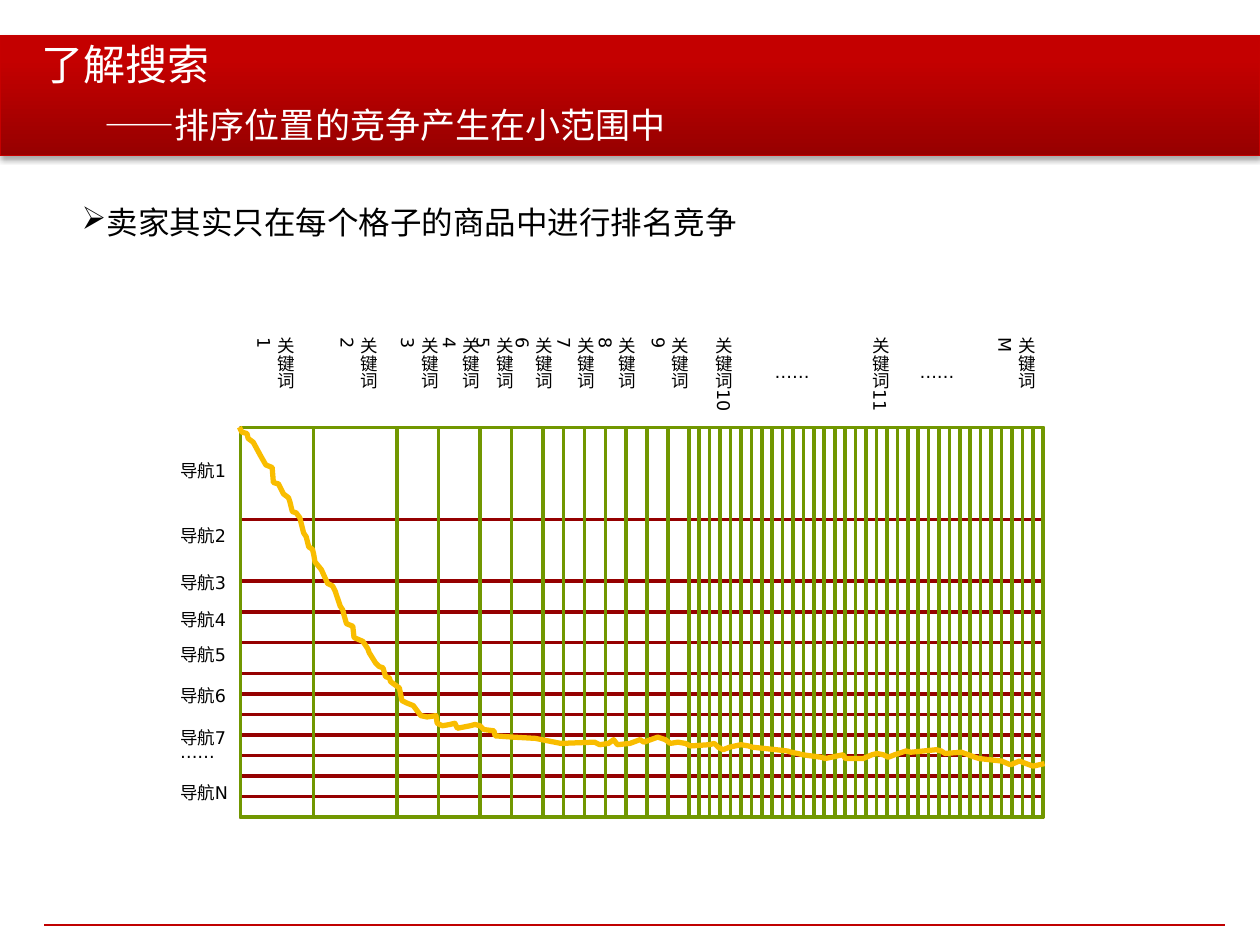
from itertools import accumulate

from pptx import Presentation
from pptx.dml.color import RGBColor
from pptx.enum.shapes import MSO_CONNECTOR as Connector, MSO_SHAPE as Preset
from pptx.enum.text import MSO_ANCHOR as Anchor, MSO_AUTO_SIZE as AutoSize, PP_ALIGN as Align
from pptx.oxml import parse_xml
from pptx.oxml.ns import nsdecls, qn
from pptx.util import Pt

LATIN, ASIAN = "DejaVu Sans", "Noto Sans CJK SC"
BLACK, WHITE = "000000", "FFFFFF"
RED, GREEN, GOLD = "950000", "719700", "F9BD00"


def color(value):
    return RGBColor.from_string(value)


class SlideKit:
    """Holds the text style and the slide being filled."""

    def __init__(self, page):
        self.page = page
        self.shapes = page.shapes
        self.style = {"size": Pt(10), "name": LATIN}

    def span(self, para, text, ink=BLACK, **changes):
        run = para.add_run()
        run.text = text
        for key, value in {**self.style, **changes}.items():
            setattr(run.font, key, value)
        run.font.color.rgb = color(ink)
        latin = run.font._element.find(qn("a:latin"))
        latin.addnext(parse_xml(f'<a:ea {nsdecls("a")} typeface="{ASIAN}"/>'))

    def text(self, left, top, width, height, text, wrap=True, vertical=False, bullet=None, **changes):
        box = self.shapes.add_textbox(Pt(left), Pt(top), Pt(width), Pt(height))
        frame = box.text_frame
        for key, value in {"word_wrap": wrap, "auto_size": AutoSize.SHAPE_TO_FIT_TEXT}.items():
            setattr(frame, key, value)
        if vertical:
            frame._element.bodyPr.set("vert", "eaVert")
        para = frame.paragraphs[0]
        if bullet:
            para._element.get_or_add_pPr().append(
                parse_xml(f'<a:buChar {nsdecls("a")} char="{bullet}"/>'))
        self.span(para, text, **changes)

    def outline(self, shape, ink, weight):
        shape.shadow.inherit = False
        shape.line.color.rgb = color(ink)
        shape.line.width = Pt(weight)

    def rect(self, left, top, width, height, ink, weight=2):
        shape = self.shapes.add_shape(Preset.RECTANGLE, Pt(left), Pt(top), Pt(width), Pt(height))
        shape.fill.background()
        self.outline(shape, ink, weight)
        return shape

    def band(self, left, top, width, height):
        shape = self.rect(left, top, width, height, "C60000", 0.75)
        shape.fill.gradient()
        shape.fill.gradient_angle = 90
        stops = zip(shape.fill.gradient_stops, (0, 0.8), ("970000", "C40000"))
        for stop, position, ink in stops:
            stop.position = position
            stop.color.rgb = color(ink)
        effects = shape._element.spPr.find(qn("a:effectLst"))
        effects.append(parse_xml(
            f'<a:outerShdw {nsdecls("a")} blurRad="{Pt(3.1)}" dist="{Pt(1.8)}" dir="5400000" '
            'rotWithShape="0"><a:srgbClr val="000000"><a:alpha val="35000"/></a:srgbClr>'
            '</a:outerShdw>'))

    def rule(self, x1, y1, x2, y2, ink, weight):
        line = self.shapes.add_connector(Connector.STRAIGHT, Pt(x1), Pt(y1), Pt(x2), Pt(y2))
        line.line.color.rgb = color(ink)
        line.line.width = Pt(weight)
        line._element.spPr.append(parse_xml(f'<a:effectLst {nsdecls("a")}/>'))

    def title(self, left, top, width, height, heading, subheading):
        title = self.shapes.title
        bounds = {"left": left, "top": top, "width": width, "height": height}
        for key, value in bounds.items():
            setattr(title, key, Pt(value))
        title._element.getparent().append(title._element)  # in front of the band
        frame = title.text_frame
        settings = {"vertical_anchor": Anchor.MIDDLE, "word_wrap": True, "auto_size": AutoSize.NONE}
        for key, value in settings.items():
            setattr(frame, key, value)
        para = frame.paragraphs[0]
        para.alignment = Align.LEFT
        self.span(para, heading, WHITE, size=Pt(24), name=ASIAN)
        para.add_line_break()
        self.span(para, "\t", WHITE, size=Pt(28))
        self.span(para, subheading, WHITE, size=Pt(20), name=ASIAN)

    def curve(self, points, unit, ink, weight):
        builder = self.shapes.build_freeform(*points[0], scale=Pt(unit))
        builder.add_line_segments(points[1:], close=False)
        shape = builder.convert_to_shape()
        shape.fill.background()
        self.outline(shape, ink, weight)


# Grid: sizes are shares of the whole width or height
GRID_LEFT, GRID_TOP, GRID_WIDTH, GRID_HEIGHT = 137.4, 244.2, 458.8, 222.6
ROWS = [4.5, 3] + [1.5] * 3 + [1] * 7
COLUMNS = [7, 8, 4, 4, 3, 3] + [2] * 7 + [1] * 34

KEYWORDS = {
    "1": 144.7, "2": 192.2, "3": 226.8, "4": 250.6, "5": 270, "6": 292.3, "7": 316.1,
    "8": 339.8, "9": 370.1, "10": 395.3, "11": 484.6, "M": 568.1,
}
KEYWORD_HEIGHTS = {"10": 58.3, "11": 58.3, "M": 52.6}
NAVIGATION = {
    "导航1": 259.2, "导航2": 296.6, "导航3": 323.3, "导航4": 344.2, "导航5": 364.3,
    "导航6": 388.1, "导航7": 411.8, "……": 419.8, "导航N": 443.5,
}

# Curve points in hundredths of an inch
CURVE = [
    (190, 339), (192, 343), (196, 344), (197, 348), (201, 351), (207, 362), (211, 369),
    (216, 371), (217, 383), (221, 384), (225, 392), (229, 395), (230, 398), (232, 406),
    (235, 407), (238, 411), (239, 415), (241, 423), (243, 426), (245, 434), (248, 436),
    (249, 440), (250, 446), (255, 452), (260, 463), (264, 465), (266, 469), (267, 472),
    (270, 481), (272, 484), (273, 488), (275, 495), (280, 497), (281, 506), (288, 509),
    (292, 515), (293, 518), (298, 526), (301, 529), (304, 530), (306, 537), (309, 538),
    (310, 541), (317, 546), (319, 556), (323, 558), (328, 560), (334, 568), (339, 569),
    (346, 568), (347, 574), (351, 576), (357, 575), (361, 574), (363, 578), (373, 576),
    (377, 575), (381, 576), (384, 579), (392, 580), (393, 584), (407, 585), (425, 586),
    (445, 590), (472, 589), (476, 591), (483, 590), (487, 587), (490, 591), (500, 590),
    (508, 587), (511, 589), (522, 585), (528, 587), (532, 590), (538, 589), (544, 590),
    (548, 592), (563, 591), (567, 590), (570, 593), (574, 595), (579, 593), (588, 591),
    (594, 592), (597, 593), (616, 595), (625, 596), (628, 597), (633, 598), (637, 599),
    (652, 601), (655, 602), (669, 599), (671, 602), (685, 602), (692, 599), (696, 598),
    (701, 599), (705, 601), (710, 599), (716, 597), (719, 596), (723, 597), (743, 595),
    (747, 596), (750, 598), (763, 597), (774, 601), (777, 602), (795, 604), (802, 607),
    (809, 604), (817, 607), (820, 608), (829, 606),
]


def edges(shares, start, length):
    """Yield the start and size of each share laid end to end."""
    unit = length / sum(shares)
    for end, share in zip(accumulate(shares), shares):
        yield start + (end - share) * unit, share * unit


def main():
    deck = Presentation()
    deck.slide_width, deck.slide_height = Pt(720), Pt(540)
    kit = SlideKit(deck.slides.add_slide(deck.slide_layouts[5]))

    # Header band, footer rule and title
    kit.band(0, 20.2, 720, 68.6)
    kit.rule(699.8, 528.5, 25.2, 528.5, "C00000", 0.75)
    kit.title(16.6, 22.3, 612, 61.9, "了解搜索", "——排序位置的竞争产生在小范围中")

    # Key message
    kit.text(39.6, 112.3, 392.4, 28.8, "卖家其实只在每个格子的商品中进行排名竞争",
             wrap=False, bullet="➢", size=Pt(18))

    # Column labels
    for number, left in KEYWORDS.items():
        kit.text(left, 185.8, 28, KEYWORD_HEIGHTS.get(number, 46.8), "关键词" + number, vertical=True)
    for left in (435.6, 518.4):
        kit.text(left, 203, 47.5, 20.2, "……")

    # Grid of rows and columns
    for top, height in edges(ROWS, GRID_TOP, GRID_HEIGHT):
        kit.rect(GRID_LEFT, top, GRID_WIDTH, height, RED)
    for left, width in edges(COLUMNS, GRID_LEFT, GRID_WIDTH):
        kit.rect(left, GRID_TOP, width, GRID_HEIGHT, GREEN)

    # Row labels
    for label, top in NAVIGATION.items():
        kit.text(95.8, top, 47.5, 20.2, label)

    # Falling curve
    kit.curve(CURVE, 0.72, GOLD, 3)

    deck.save("out.pptx")


if __name__ == "__main__":
    main()
